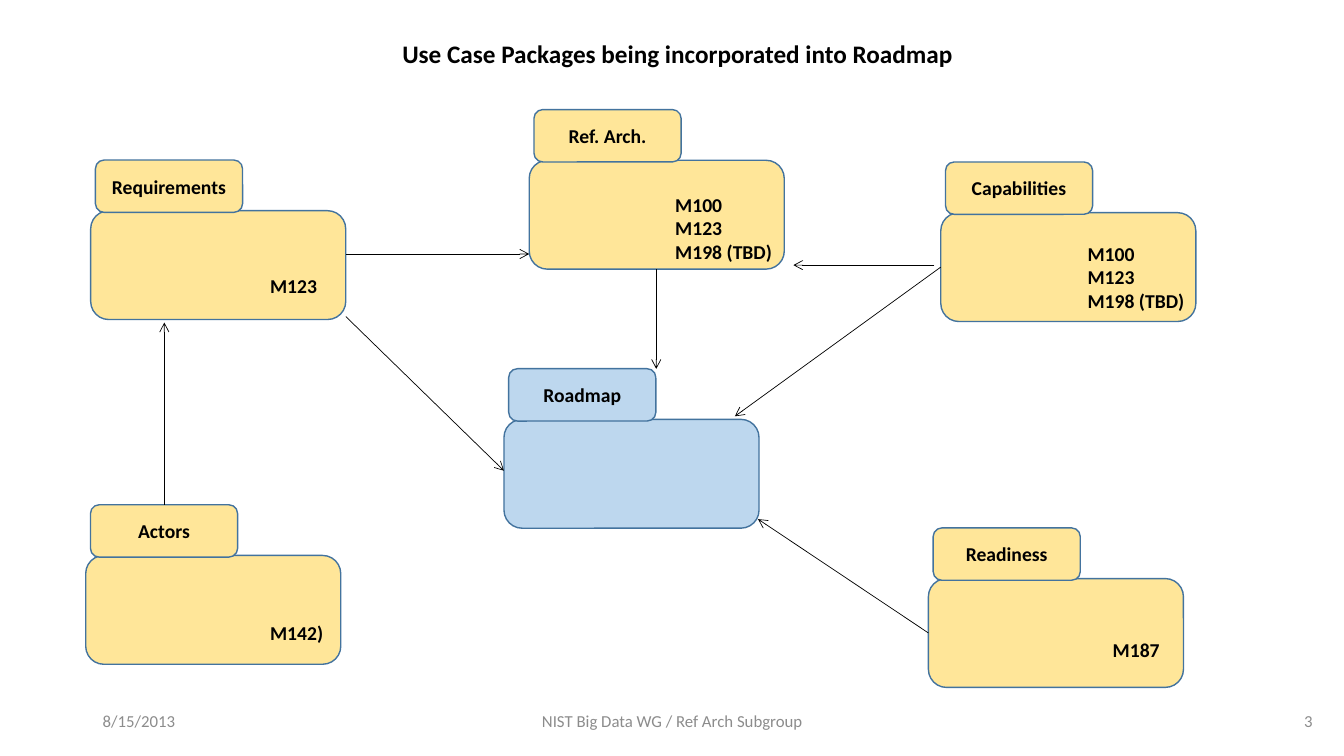
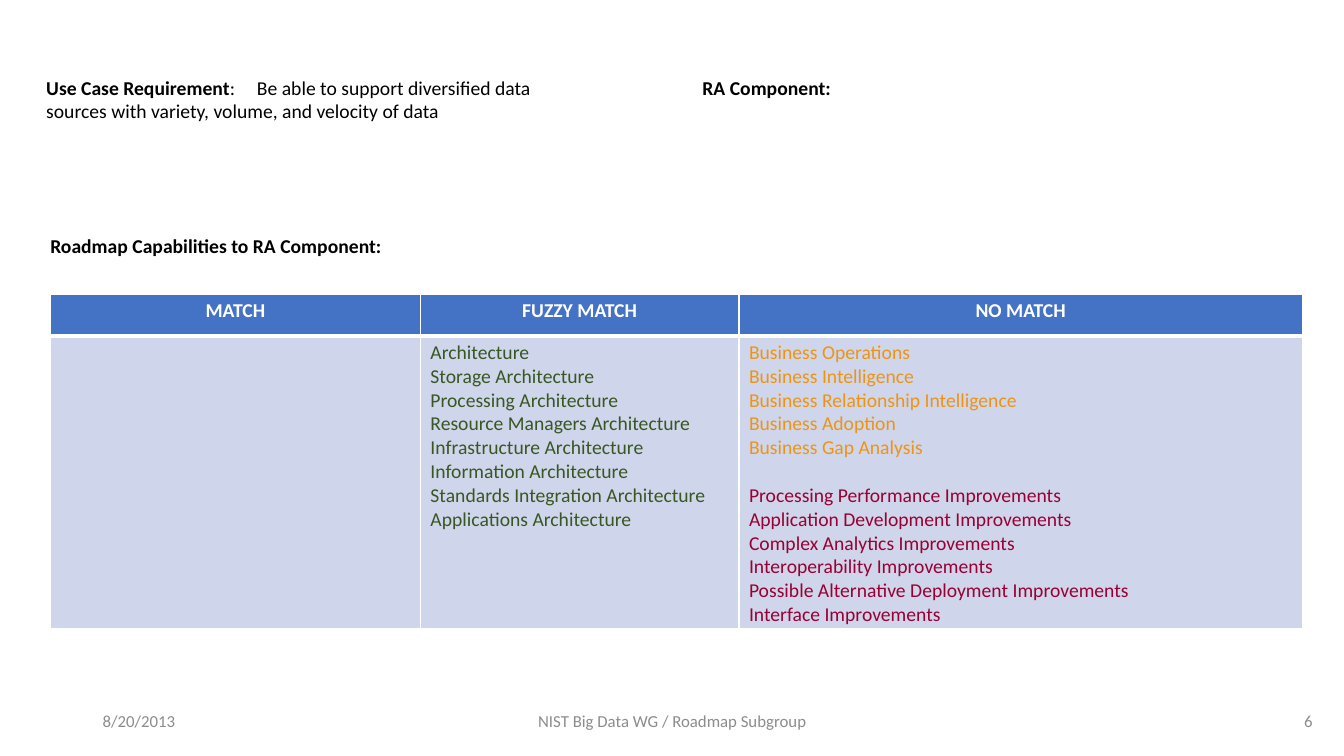
from dataclasses import dataclass
from typing import NamedTuple

from lxml import etree
from pptx import Presentation
from pptx.dml.color import RGBColor
from pptx.enum.shapes import MSO_CONNECTOR, MSO_SHAPE
from pptx.enum.text import MSO_ANCHOR, MSO_AUTO_SIZE, PP_ALIGN
from pptx.oxml.ns import qn
from pptx.util import Emu, Inches, Pt

LEFT, CENTER, RIGHT = PP_ALIGN.LEFT, PP_ALIGN.CENTER, PP_ALIGN.RIGHT
TOP, MIDDLE = MSO_ANCHOR.TOP, MSO_ANCHOR.MIDDLE
ROUNDED, STRAIGHT = MSO_SHAPE.ROUNDED_RECTANGLE, MSO_CONNECTOR.STRAIGHT
NO_AUTOFIT = MSO_AUTO_SIZE.NONE
TITLE_ONLY, BLANK = 5, 6


@dataclass(frozen=True)
class Theme:
    """Colours, font and type sizes of the deck."""
    font: str = "Calibri"
    title: int = 18
    body: int = 14
    small: int = 12
    ink: str = "000000"
    white: str = "FFFFFF"
    grey: str = "8C8C8C"
    outline: str = "43739E"
    source: str = "FFE699"
    target: str = "BDD7EE"
    header: str = "4472C4"
    cell: str = "CFD5EA"
    green: str = "385723"
    orange: str = "ED9513"
    crimson: str = "990033"


class Box(NamedTuple):
    """Left, top, width and height in percent of the slide's size."""
    x: float
    y: float
    w: float
    h: float


class Package(NamedTuple):
    """A tabbed box: its name, the corner of its body and its fill."""
    name: str
    x: float
    y: float
    fill: str


class Note(NamedTuple):
    """Use case numbers written on a package."""
    lines: list[str]
    box: Box


class Arrow(NamedTuple):
    """Start and end of an arrow in percent of the slide's size."""
    x1: float
    y1: float
    x2: float
    y2: float


class Group(NamedTuple):
    """Lines of one colour in a table cell."""
    color: str
    lines: list[str]


T = Theme()
prs = Presentation()
prs.slide_width, prs.slide_height = Inches(13.33), Inches(7.5)
COL, ROW = prs.slide_width / 100, prs.slide_height / 100

BODY_W, BODY_H = 18.98, 14.4
TAB_DX, TAB_DY, TAB_W, TAB_H = 0.35, -6.7, 10.95, 6.93
NOTE_H, TALL_NOTE_H = 4.53, 10.8
FOOTER_Y, FOOTER_H = 92.67, 5.33

PACKAGES = [
    Package("Requirements", 6.75, 27.87, T.source),
    Package("Ref. Arch.", 39.38, 21.2, T.source),
    Package("Capabilities", 70, 28.13, T.source),
    Package("Readiness", 69.08, 76.53, T.source),
    Package("Roadmap", 37.5, 55.47, T.target),
    Package("Actors", 6.38, 73.47, T.source),
]
ARROWS = [
    Arrow(12.23, 66.8, 12.23, 42.67),
    Arrow(25.73, 41.87, 37.5, 62.27),
    Arrow(25.73, 33.6, 39.38, 33.6),
    Arrow(48.83, 35.6, 48.83, 48.8),
    Arrow(70, 35.33, 54.68, 55.07),
    Arrow(69.53, 35.07, 59.03, 35.07),
    Arrow(69.08, 83.73, 56.4, 68.67),
]
SHARED_CASES = ["M100", "M123", "M198 (TBD)"]
NOTES = [
    Note(SHARED_CASES, Box(49.5, 24.8, 8.78, TALL_NOTE_H)),
    Note(SHARED_CASES, Box(80.18, 31.33, 8.78, TALL_NOTE_H)),
    Note(["M142)"], Box(19.35, 81.47, 5.48, NOTE_H)),
    Note(["M123"], Box(19.35, 35.6, 5.03, NOTE_H)),
    Note(["M187"], Box(82.05, 83.73, 5.03, NOTE_H)),
]

MATCH_COLUMNS = {
    "MATCH": (27.53, []),
    "FUZZY MATCH": (23.7, [
        Group(T.green, [
            "Architecture", "Storage Architecture", "Processing Architecture",
            "Resource Managers Architecture", "Infrastructure Architecture",
            "Information Architecture", "Standards Integration Architecture",
            "Applications Architecture"]),
    ]),
    "NO MATCH": (41.93, [
        Group(T.orange, [
            "Business Operations", "Business Intelligence",
            "Business Relationship Intelligence", "Business Adoption",
            "Business Gap Analysis"]),
        Group(T.crimson, [
            "Processing Performance Improvements",
            "Application Development Improvements",
            "Complex Analytics Improvements", "Interoperability Improvements",
            "Possible Alternative Deployment Improvements",
            "Interface Improvements"]),
    ]),
}
HEADER_H, MATCH_H = 5.47, 38.67


def rgb(color: str) -> RGBColor:
    """Turn a hex string into a colour."""
    return RGBColor.from_string(color)


def place(box: Box) -> tuple[Emu, Emu, Emu, Emu]:
    """Turn shares of the slide into lengths."""
    return (Emu(round(box.x * COL)), Emu(round(box.y * ROW)),
            Emu(round(box.w * COL)), Emu(round(box.h * ROW)))


def style(p, size: int = T.body, color: str = T.ink, bold: bool = False,
          align: PP_ALIGN = LEFT) -> None:
    """Set the font and alignment of a paragraph."""
    p.alignment = align
    p.font.name, p.font.size, p.font.bold = T.font, Pt(size), bold
    p.font.color.rgb = rgb(color)


def write(tf, lines: list[str], **look) -> None:
    """Fill a text frame with one paragraph per line."""
    for i, line in enumerate(lines):
        p = tf.add_paragraph() if i else tf.paragraphs[0]
        p.text = line
        style(p, **look)


def add_text(s, box: Box, lines: list[str], wrap: bool = False,
             anchor: MSO_ANCHOR = TOP, **look):
    """Add a text box and return its text frame."""
    tf = s.shapes.add_textbox(*place(box)).text_frame
    tf.word_wrap, tf.vertical_anchor = wrap, anchor
    write(tf, lines, **look)
    return tf


def add_footer(s, date: str, group: str, number: int) -> None:
    """Add the date, working group and slide number."""
    for x, w, text, align in [(6.9, 22.5, date, LEFT),
                              (33.15, 33.75, group, CENTER),
                              (74.4, 24, str(number), RIGHT)]:
        add_text(s, Box(x, FOOTER_Y, w, FOOTER_H), [text], wrap=True,
                 anchor=MIDDLE, size=T.small, color=T.grey, align=align)


def add_title(s, box: Box, text: str) -> None:
    """Move and format the title placeholder."""
    sp = s.shapes.title
    sp.left, sp.top, sp.width, sp.height = place(box)
    tf = sp.text_frame
    tf.auto_size, tf.word_wrap, tf.vertical_anchor = NO_AUTOFIT, False, TOP
    write(tf, [text], size=T.title, bold=True)


def add_rounded(s, box: Box, fill: str):
    """Add an outlined rounded rectangle."""
    sp = s.shapes.add_shape(ROUNDED, *place(box))
    sp.shadow.inherit = False
    sp.fill.solid()
    sp.fill.fore_color.rgb = rgb(fill)
    sp.line.color.rgb, sp.line.width = rgb(T.outline), Pt(1)
    return sp


def add_package(s, package: Package) -> None:
    """Add a package's body and its named tab."""
    name, x, y, fill = package
    add_rounded(s, Box(x, y, BODY_W, BODY_H), fill)
    tab = add_rounded(s, Box(x + TAB_DX, y + TAB_DY, TAB_W, TAB_H), fill)
    tab.text_frame.vertical_anchor = MIDDLE
    write(tab.text_frame, [name], bold=True, align=CENTER)


def add_arrow(s, arrow: Arrow) -> None:
    """Add a thin line with an open arrowhead at its end."""
    line = s.shapes.add_connector(STRAIGHT, *place(Box(*arrow)))
    line.line.color.rgb, line.line.width = rgb(T.ink), Pt(0.5)
    props = line.element.spPr
    etree.SubElement(props.find(qn("a:ln")), qn("a:tailEnd"), type="arrow")
    etree.SubElement(props, qn("a:effectLst"))


def format_cell(cell, fill: str, bottom: float) -> None:
    """Give a cell white borders and a fill."""
    props = cell._tc.get_or_add_tcPr()
    for side, width in [("L", 1), ("R", 1), ("T", 1), ("B", bottom)]:
        ln = etree.SubElement(props, qn(f"a:ln{side}"), w=str(Pt(width)))
        solid = etree.SubElement(ln, qn("a:solidFill"))
        etree.SubElement(solid, qn("a:srgbClr"), val=T.white)
    cell.fill.solid()
    cell.fill.fore_color.rgb = rgb(fill)


def write_groups(tf, groups: list[Group]) -> None:
    """Write coloured groups, set apart by one line's height."""
    lines = [(g.color, line, i > 0 and j == 0)
             for i, g in enumerate(groups) for j, line in enumerate(g.lines)]
    for n, (color, line, gap) in enumerate(lines):
        p = tf.add_paragraph() if n else tf.paragraphs[0]
        p.text = line
        style(p, color=color)
        if gap:
            p.space_before = Pt(17)


def add_match_table(s, x: float, y: float) -> None:
    """Add the table of matches between roadmap and component."""
    width = sum(w for w, _ in MATCH_COLUMNS.values())
    frame = s.shapes.add_table(2, len(MATCH_COLUMNS),
                               *place(Box(x, y, width, HEADER_H + MATCH_H)))
    table = frame.table
    for row, h in zip(table.rows, (HEADER_H, MATCH_H)):
        row.height = Emu(round(h * ROW))
    for i, (head, (w, groups)) in enumerate(MATCH_COLUMNS.items()):
        table.columns[i].width = Emu(round(w * COL))
        top, body = table.cell(0, i), table.cell(1, i)
        format_cell(top, T.header, bottom=3)
        format_cell(body, T.cell, bottom=1)
        write(top.text_frame, [head], color=T.white, bold=True, align=CENTER)
        write_groups(body.text_frame, groups)


def add_requirement(s, box: Box) -> None:
    """Add the use case requirement with its bold label."""
    tf = add_text(s, box, ["", "sources with variety, volume, and velocity of data"],
                  wrap=True)
    p = tf.paragraphs[0]
    r = p.add_run()
    r.text, r.font.bold = "Use Case Requirement", True
    p.add_run().text = ":\tBe able to support diversified data"
    tabs = etree.Element(qn("a:tabLst"))
    etree.SubElement(tabs, qn("a:tab"), pos=str(Inches(2.09)), algn="l")
    p._p.get_or_add_pPr().find(qn("a:defRPr")).addprevious(tabs)


def build_packages() -> None:
    """Build the slide of use case packages."""
    s = prs.slides.add_slide(prs.slide_layouts[TITLE_ONLY])
    add_title(s, Box(29.18, 4.4, 42.75, 5.33),
              "Use Case Packages being incorporated into Roadmap")
    add_footer(s, "8/15/2013", "NIST Big Data WG / Ref Arch Subgroup", 3)
    for package in PACKAGES:
        add_package(s, package)
    for arrow in ARROWS:
        add_arrow(s, arrow)
    for note in NOTES:
        add_text(s, note.box, note.lines, bold=True)


def build_matches() -> None:
    """Build the slide of roadmap capabilities."""
    s = prs.slides.add_slide(prs.slide_layouts[BLANK])
    add_requirement(s, Box(2.7, 9.33, 39.68, 7.6))
    add_text(s, Box(51.53, 9.33, 11.1, NOTE_H), ["RA Component:"], bold=True)
    add_text(s, Box(3, 30.27, 26.33, NOTE_H),
             ["Roadmap Capabilities to RA Component:"], bold=True)
    add_match_table(s, 3.75, 38.93)
    add_footer(s, "8/20/2013", "NIST Big Data WG / Roadmap Subgroup", 6)


build_packages()
build_matches()
prs.save("out.pptx")
